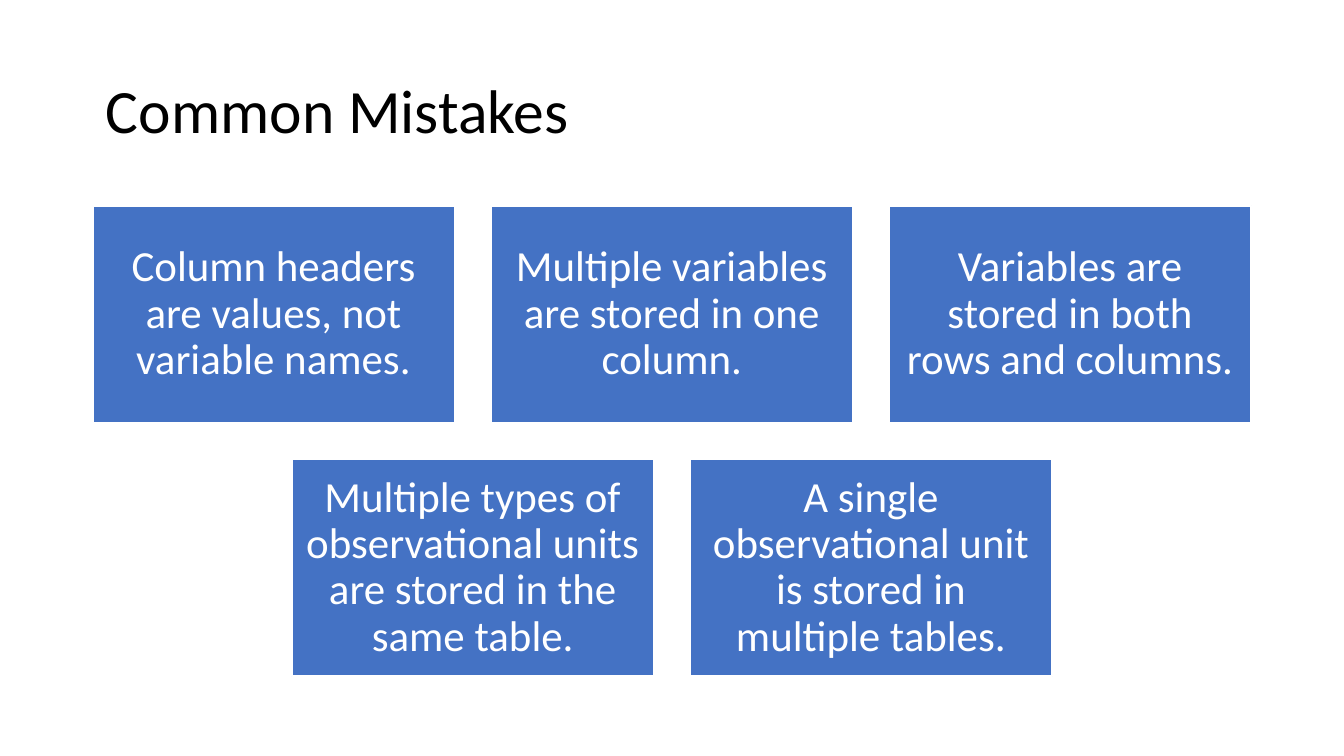
from pptx import Presentation
from pptx.dml.color import RGBColor
from pptx.enum.shapes import MSO_SHAPE
from pptx.enum.text import MSO_ANCHOR, PP_ALIGN
from pptx.util import Inches, Pt

BLACK = RGBColor(0x00, 0x00, 0x00)
WHITE = RGBColor(0xFF, 0xFF, 0xFF)
BLUE = RGBColor(0x44, 0x72, 0xC4)

TITLE = "Common Mistakes"
MISTAKE_ROWS = [
    [
        "Column headers are values, not variable names.",
        "Multiple variables are stored in one column.",
        "Variables are stored in both rows and columns.",
    ],
    [
        "Multiple types of observational units are stored in the same table.",
        "A single observational unit is stored in multiple tables.",
    ],
]

SLIDE_WIDTH = 10
SLIDE_HEIGHT = SLIDE_WIDTH * 9 / 16
MARGIN = 0.69
CONTENT_WIDTH = SLIDE_WIDTH - 2 * MARGIN
TITLE_TOP, TITLE_HEIGHT = 0.3, 1.09
GRID_TOP = 1.53
GAP = 0.27
COLUMNS = 3
CARD_WIDTH = (CONTENT_WIDTH - (COLUMNS - 1) * GAP) / COLUMNS
CARD_HEIGHT = CARD_WIDTH * 0.6

TITLE_FONT = {"name": "Calibri", "size": Pt(33)}
CARD_FONT = {"name": "Calibri", "size": Pt(23)}
TITLE_FRAME = {"word_wrap": True, "vertical_anchor": MSO_ANCHOR.MIDDLE}
CARD_FRAME = TITLE_FRAME | {
    f"margin_{side}": Inches(0.1) for side in ("left", "top", "right", "bottom")
}


def set_attributes(target, values):
    for name, value in values.items():
        setattr(target, name, value)


def write_text(box, text, frame_format, font_format, color, alignment):
    frame = box.text_frame
    set_attributes(frame, frame_format)
    paragraph = frame.paragraphs[0]
    set_attributes(paragraph, {"alignment": alignment, "line_spacing": 0.9})
    span = paragraph.add_run()
    span.text = text
    set_attributes(span.font, font_format)
    span.font.color.rgb = color


def add_card(page, left, top, text):
    card = page.shapes.add_shape(
        MSO_SHAPE.RECTANGLE,
        *map(Inches, (left, top, CARD_WIDTH, CARD_HEIGHT)),
    )
    card.shadow.inherit = False
    card.fill.solid()
    card.fill.fore_color.rgb = BLUE
    card.line.color.rgb = WHITE
    card.line.width = Pt(1)
    write_text(card, text, CARD_FRAME, CARD_FONT, WHITE, PP_ALIGN.CENTER)


def main():
    deck = Presentation()
    deck.slide_width = Inches(SLIDE_WIDTH)
    deck.slide_height = Inches(SLIDE_HEIGHT)
    page = deck.slides.add_slide(deck.slide_layouts[6])

    title = page.shapes.add_textbox(
        *map(Inches, (MARGIN, TITLE_TOP, CONTENT_WIDTH, TITLE_HEIGHT))
    )
    write_text(title, TITLE, TITLE_FRAME, TITLE_FONT, BLACK, PP_ALIGN.LEFT)

    for row, mistakes in enumerate(MISTAKE_ROWS):
        row_width = len(mistakes) * (CARD_WIDTH + GAP) - GAP
        row_left = (SLIDE_WIDTH - row_width) / 2
        top = GRID_TOP + row * (CARD_HEIGHT + GAP)
        for column, mistake in enumerate(mistakes):
            add_card(page, row_left + column * (CARD_WIDTH + GAP), top, mistake)

    deck.save("out.pptx")


if __name__ == "__main__":
    main()
